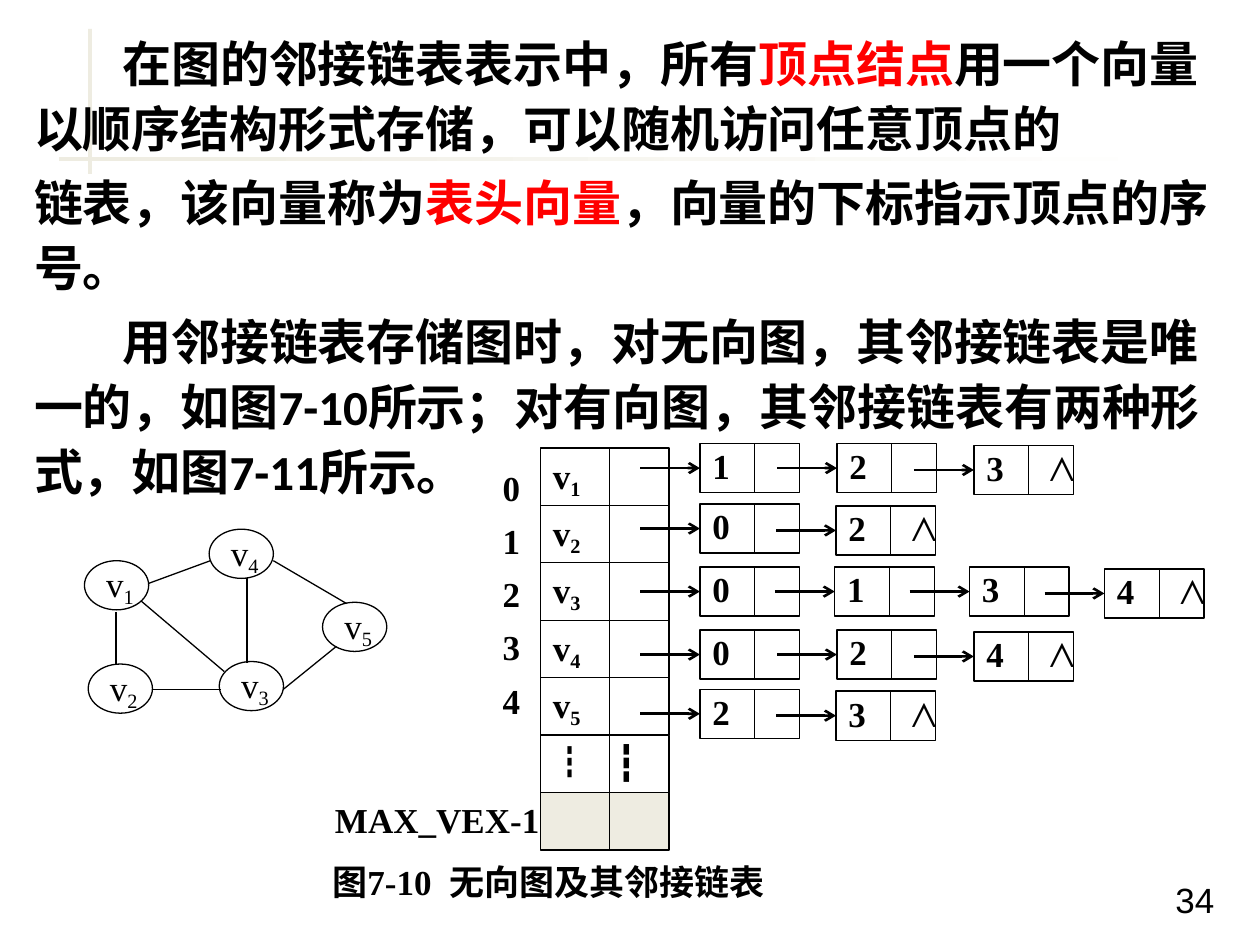
"""Build the slide on adjacency lists of an undirected graph."""
import dataclasses
import typing

import lxml.etree
import pptx
import pptx.dml.color
import pptx.enum.shapes
import pptx.enum.text
import pptx.oxml.ns
import pptx.util

Shape = pptx.enum.shapes.MSO_SHAPE
Anchor = pptx.enum.text.MSO_ANCHOR


@dataclasses.dataclass(frozen=True)
class Theme:
    ink: str = "000000"
    accent: str = "FF0000"
    tint: str = "EEECE1"
    paper: str = "FFFFFF"
    body_size: int = 28
    label_size: int = 20
    thin: float = 0.75
    thick: float = 1.5
    serif: str = "Times New Roman"
    sans: str = "Calibri"
    number: str = "Arial"
    asian: str = "Noto Sans CJK SC"


THEME = Theme()
COLUMNS, ROWS = 100, 75
UNIT = pptx.util.Inches(10) / COLUMNS


class Box(typing.NamedTuple):
    column: float
    row: float
    columns: float
    rows: float


class Edge(typing.NamedTuple):
    start: tuple[float, float]
    end: tuple[float, float]
    weight: float = THEME.thin


class Chain(typing.NamedTuple):
    row: float
    pitch: float
    vertices: str
    nil_tab: float = 4.3


@dataclasses.dataclass(frozen=True)
class Span:
    text: str
    size: int = THEME.label_size
    font: str = THEME.serif
    asian: str = THEME.serif
    color: str = THEME.ink
    bold: bool = True
    baseline: int = 0


def grid(*counts: float) -> list[pptx.util.Emu]:
    return [pptx.util.Emu(round(count * UNIT)) for count in counts]


def rgb(color: str) -> pptx.dml.color.RGBColor:
    return pptx.dml.color.RGBColor.from_string(color)


def child(parent, tag: str, **attributes: str):
    element = lxml.etree.SubElement(parent, pptx.oxml.ns.qn(tag))
    for name, value in attributes.items():
        element.set(name, value)
    return element


def apply(target, values: dict) -> None:
    for name, value in values.items():
        setattr(target, name, value)


def write(holder, paragraphs: list[list[Span]], spacing: float = 0.9, anchor=Anchor.MIDDLE,
          wrap: bool = True, indents: tuple = (), tab: float = 0) -> None:
    frame = holder.text_frame
    left, top = grid(1, 0.5)
    apply(frame, {"word_wrap": wrap, "auto_size": pptx.enum.text.MSO_AUTO_SIZE.NONE,
                  "vertical_anchor": anchor, "margin_left": left, "margin_right": 0,
                  "margin_top": top, "margin_bottom": top})
    for index, spans in enumerate(paragraphs):
        paragraph = frame.paragraphs[0] if index == 0 else frame.add_paragraph()
        apply(paragraph, {"line_spacing": spacing, "alignment": pptx.enum.text.PP_ALIGN.LEFT,
                          "space_before": pptx.util.Pt(round(spans[0].size * 0.2, 2))})
        layout = paragraph._p.get_or_add_pPr()
        layout.set("marL", "0")
        layout.set("indent", str(grid(indents[index] if indents else 0)[0]))
        child(layout, "a:buNone")
        if tab:
            child(child(layout, "a:tabLst"), "a:tab", pos=str(grid(tab)[0]), algn="l")
        for span in spans:
            run = paragraph.add_run()
            run.text = span.text
            apply(run.font, {"size": pptx.util.Pt(span.size), "name": span.font, "bold": span.bold})
            run.font.color.rgb = rgb(span.color)
            child(run._r.rPr, "a:ea", typeface=span.asian)
            if span.baseline:
                run._r.rPr.set("baseline", str(span.baseline * 1000))


def add_outline(slide, kind, box: Box, fill: str | None = None, line: bool = True):
    shape = slide.shapes.add_shape(kind, *grid(*box))
    shape.shadow.inherit = False
    if fill:
        shape.fill.solid()
        shape.fill.fore_color.rgb = rgb(fill)
    else:
        shape.fill.background()
    if line:
        shape.line.color.rgb = rgb(THEME.ink)
        shape.line.width = pptx.util.Pt(THEME.thin)
    else:
        shape.line.fill.background()
    return shape


def add_edge(slide, edge: Edge, target=None) -> None:
    connector = slide.shapes.add_connector(
        pptx.enum.shapes.MSO_CONNECTOR.STRAIGHT, *grid(*edge.start, *edge.end))
    connector.line.color.rgb = rgb(THEME.ink)
    connector.line.width = pptx.util.Pt(edge.weight)
    if target is not None:
        connector.end_connect(target, 1)
        child(connector.line._get_or_add_ln(), "a:tailEnd", type="arrow")
    child(connector._element.spPr, "a:effectLst")


def add_label(slide, box: Box, paragraphs: list[list[Span]], **options) -> None:
    write(slide.shapes.add_textbox(*grid(*box)), paragraphs, **options)


def vertex_name(number: int, bold: bool) -> list[Span]:
    return [Span("v", bold=bold), Span(str(number), bold=bold, baseline=-20)]


def add_split_cell(slide, box: Box, divider: float, spans: list[Span],
                   fill: str | None = None, tab: float = 0):
    cell = add_outline(slide, Shape.RECTANGLE, box, fill)
    if spans:
        write(cell, [spans], tab=tab, wrap=not tab)
    column = box.column + divider
    add_edge(slide, Edge((column, box.row), (column, box.row + box.rows)))
    return cell


def add_chain(slide, chain: Chain) -> None:
    for index, vertex in enumerate(chain.vertices):
        last = index == len(chain.vertices) - 1
        box = Box(55.55 + index * chain.pitch, chain.row + 0.15 * last, 7.9, 3.9)
        spans = [Span(vertex)]
        if last:
            spans.append(Span("\t⋀", bold=False))
        node = add_split_cell(slide, box, 4.35, spans, tab=chain.nil_tab if last else 0)
        middle = box.row + box.rows / 2
        add_edge(slide, Edge((box.column - 4.75, middle), (box.column, middle), THEME.thick), node)


def add_backdrop(slide) -> None:
    add_outline(slide, Shape.RECTANGLE, Box(7, 2.3, 0.3, 11.5), THEME.tint, line=False)
    rule = add_outline(slide, Shape.RECTANGLE, Box(4.7, 12.5, 90, 0.3), line=False)
    rule.fill.gradient()
    rule.fill.gradient_angle = 0
    for stop, color in zip(rule.fill.gradient_stops, (THEME.tint, THEME.paper)):
        stop.color.rgb = rgb(color)


def add_explanation(slide) -> None:
    explanation = slide.placeholders[1]
    slide.shapes._spTree.append(explanation._element)
    apply(explanation, dict(zip(("left", "top", "width", "height"), grid(1.7, 1.7, 96.7, 33.5))))
    passages = [
        ["在图的邻接链表表示中，所有", "顶点结点", "用一个向量 以顺序结构形式存储，可以随机访问任意顶点的"],
        ["链表，该向量称为", "表头向量", "，向量的下标指示顶点的序号。"],
        ["用邻接链表存储图时，对无向图，其邻接链表是唯一的，如图7-10所示；"
         "对有向图，其邻接链表有两种形式，如图7-11所示。"],
    ]
    write(explanation,
          [[Span(text, THEME.body_size, THEME.sans, THEME.asian, THEME.accent if index == 1 else THEME.ink)
            for index, text in enumerate(passage)] for passage in passages],
          spacing=1.1, anchor=Anchor.TOP, indents=(7, 0, 7))


def add_graph(slide) -> None:
    corners = [(6.7, 44.5), (7, 52.7), (17.4, 52.5), (16.6, 42), (25.6, 47.8)]
    for number, corner in enumerate(corners, 1):
        vertex = add_outline(slide, Shape.OVAL, Box(*corner, 5.1, 3.9))
        write(vertex, [vertex_name(number, bold=False)])
    for edge in (Edge((9.2, 48.6), (9.2, 52.8), THEME.thick),
                 Edge((19.6, 45.9), (19.6, 52.6), THEME.thick),
                 Edge((11.2, 47.7), (17.8, 53.3)), Edge((11.8, 46.3), (16.7, 44.5)),
                 Edge((12.1, 54.7), (17.5, 54.7)), Edge((21.7, 44.5), (27.5, 47.9)),
                 Edge((22.5, 54.7), (26.7, 51.3))):
        add_edge(slide, edge)


def add_adjacency_list(slide) -> None:
    heads = [vertex_name(number, bold=True) for number in range(1, 6)]
    dots = [Span("┇", font=THEME.asian, asian=THEME.asian), Span("\t┇")]
    for index, spans in enumerate([*heads, dots, []]):
        add_split_cell(slide, Box(42.9, 35.55 + index * 4.56, 10.2, 4.56), 5.5, spans,
                       fill=None if spans else THEME.tint, tab=3.9 if spans is dots else 0)
    for chain in (Chain(35.2, 10.87, "123", 4.8), Chain(40, 10.8, "02"), Chain(45, 10.7, "0134"),
                  Chain(50, 10.87, "024"), Chain(54.7, 10.8, "23")):
        add_chain(slide, chain)
    add_label(slide, Box(38.9, 35.4, 3.9, 23.1), [[Span(str(index))] for index in range(5)], spacing=1.1)
    add_label(slide, Box(25.6, 63.3, 17.9, 3.9), [[Span("MAX_VEX-1")]])
    add_label(slide, Box(25.4, 68.4, 40, 3.5), [[Span("图7-10  无向图及其邻接链表", asian=THEME.asian)]])


def main() -> None:
    deck = pptx.Presentation()
    deck.slide_width, deck.slide_height = grid(COLUMNS, ROWS)
    slide = deck.slides.add_slide(deck.slide_layouts[1])
    title = slide.shapes.title._element
    title.getparent().remove(title)
    add_backdrop(slide)
    add_label(slide, Box(92.3, 69.6, 7.7, 4), [[Span("34", font=THEME.number, bold=False)]])
    add_explanation(slide)
    add_graph(slide)
    add_adjacency_list(slide)
    deck.save("out.pptx")


if __name__ == "__main__":
    main()
